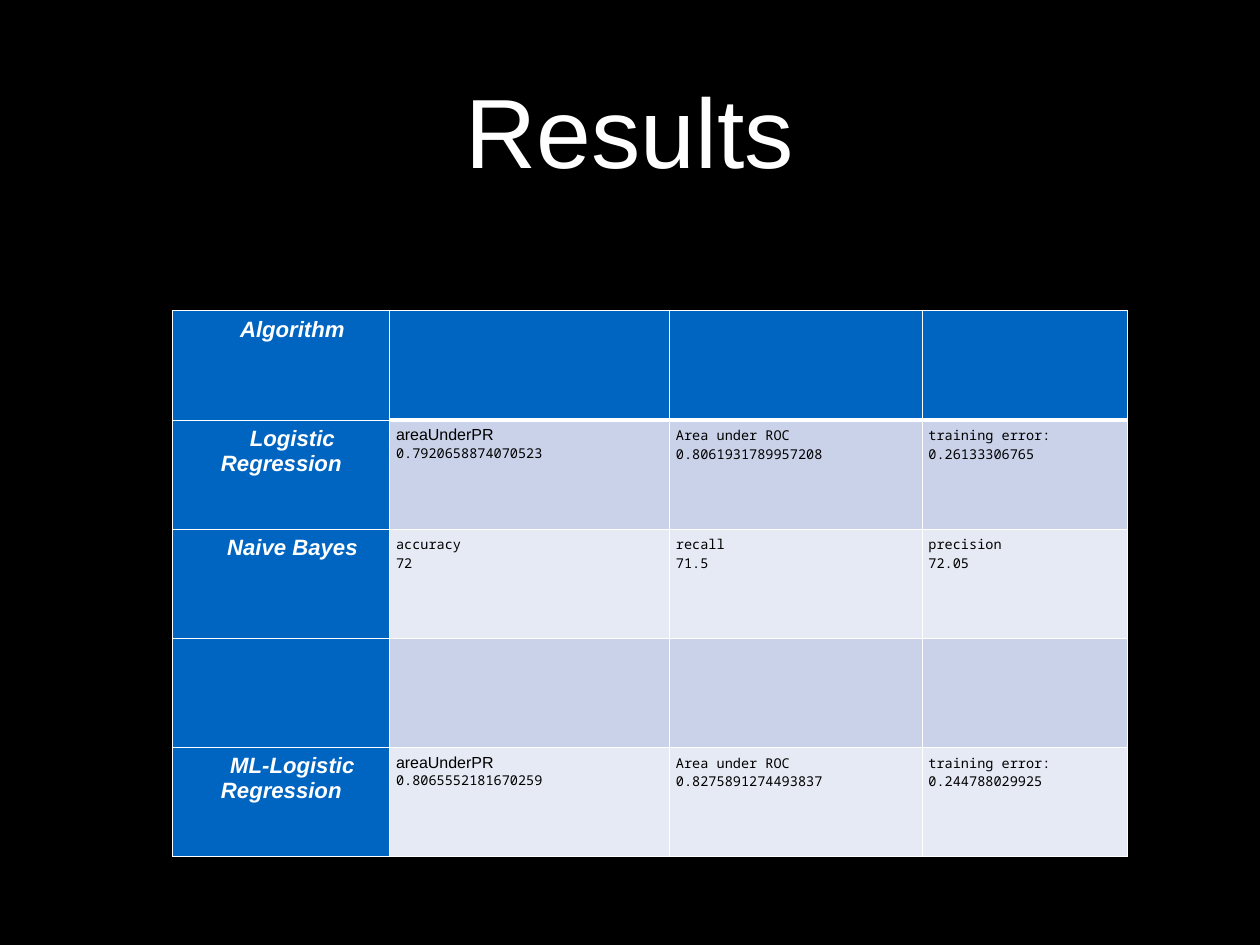
import pptx
import pptx.dml.color
import pptx.enum.text
import pptx.oxml
import pptx.oxml.ns
import pptx.util

ALIGN = pptx.enum.text.PP_ALIGN
ANCHOR = pptx.enum.text.MSO_ANCHOR


def rgb(value):
    return pptx.dml.color.RGBColor.from_string(value)


class ResultsSlide:
    sans, mono = "Arial", "Noto Sans Mono"
    white, black, blue = "FFFFFF", "000000", "0065C1"
    bands = ("E6EAF4", "CAD2E9")

    def __init__(self, width, height):
        self.deck = pptx.Presentation()
        self.deck.slide_width = pptx.util.Inches(width)
        self.deck.slide_height = pptx.util.Inches(height)
        self.slide = self.deck.slides.add_slide(self.deck.slide_layouts[5])
        self.slide.background.fill.solid()
        self.slide.background.fill.fore_color.rgb = rgb(self.black)

    def across(self, percent):
        return round(self.deck.slide_width * percent / 100)

    def down(self, percent):
        return round(self.deck.slide_height * percent / 100)

    def run(self, paragraph, wording, size, font, color, strong=False):
        run = paragraph.add_run()
        run.text = wording
        run.font.size = pptx.util.Pt(size)
        run.font.name = font
        run.font.bold = run.font.italic = strong
        run.font.color.rgb = rgb(color)

    def title(self, wording, left, top, width, height):
        heading = self.slide.shapes.title
        heading.left, heading.top = self.across(left), self.down(top)
        heading.width, heading.height = self.across(width), self.down(height)
        frame = heading.text_frame
        frame.margin_left = frame.margin_right = 0
        frame.margin_top = frame.margin_bottom = 0
        frame.vertical_anchor = ANCHOR.MIDDLE
        frame.word_wrap = True
        frame.auto_size = pptx.enum.text.MSO_AUTO_SIZE.NONE
        frame.paragraphs[0].alignment = ALIGN.CENTER
        self.run(frame.paragraphs[0], wording, 80, self.sans, self.white)

    def border(self, cell, side, points):
        line = pptx.oxml.parse_xml(
            f'<a:ln{side} {pptx.oxml.ns.nsdecls("a")} w="{pptx.util.Pt(points)}">'
            f'<a:solidFill><a:srgbClr val="{self.white}"/></a:solidFill></a:ln{side}>'
        )
        cell._tc.get_or_add_tcPr().append(line)

    def algorithm(self, cell, name):
        paragraph = cell.text_frame.paragraphs[0]
        paragraph.alignment = ALIGN.CENTER
        properties = paragraph._p.get_or_add_pPr()
        properties.set("marL", "0")
        properties.set("indent", str(pptx.util.Inches(0.25)))
        self.run(paragraph, name, 18, self.sans, self.white, True)

    def measure(self, cell, label, value):
        frame = cell.text_frame
        size, font = (13, self.sans) if label == "areaUnderPR" else (11, self.mono)
        self.run(frame.paragraphs[0], label, size, font, self.black)
        self.run(frame.add_paragraph(), value, 11, self.mono, self.black)

    def table(self, results, left, top, columns, row_height):
        table = self.slide.shapes.add_table(
            len(results), len(columns), self.across(left), self.down(top),
            self.across(sum(columns)), self.down(row_height * len(results)),
        ).table
        for column, width in zip(table.columns, columns):
            column.width = self.across(width)
        for r, (name, *measures) in enumerate(results):
            table.rows[r].height = self.down(row_height)
            for c in range(len(columns)):
                cell = table.cell(r, c)
                cell.margin_left = cell.margin_right = pptx.util.Inches(0.07)
                cell.margin_top = cell.margin_bottom = pptx.util.Inches(0.07)
                for side in "LRTB":
                    under_header = c > 0 and (r, side) in ((0, "B"), (1, "T"))
                    self.border(cell, side, 3 if under_header else 1)
                cell.fill.solid()
                header = r == 0 or c == 0
                cell.fill.fore_color.rgb = rgb(self.blue if header else self.bands[r % 2])
            if name:
                self.algorithm(table.cell(r, 0), name)
            for c, (label, value) in enumerate(measures, 1):
                self.measure(table.cell(r, c), label, value)


def main():
    page = ResultsSlide(14.22, 10.67)
    page.title("Results", 7.31, 2.62, 85.37, 22.12)
    results = [
        ("Algorithm",),
        ("Logistic Regression", ("areaUnderPR", "0.7920658874070523"),
         ("Area under ROC", "0.8061931789957208"), ("training error:", "0.26133306765")),
        ("Naive Bayes", ("accuracy", "72"), ("recall", "71.5"), ("precision", "72.05")),
        ("",),
        ("ML-Logistic Regression", ("areaUnderPR", "0.8065552181670259"),
         ("Area under ROC", "0.8275891274493837"), ("training error:", "0.244788029925")),
    ]
    page.table(results, 13.71, 32.9, (17.23, 22.22, 20.04, 16.32), 11.55)
    page.deck.save("out.pptx")


if __name__ == "__main__":
    main()
